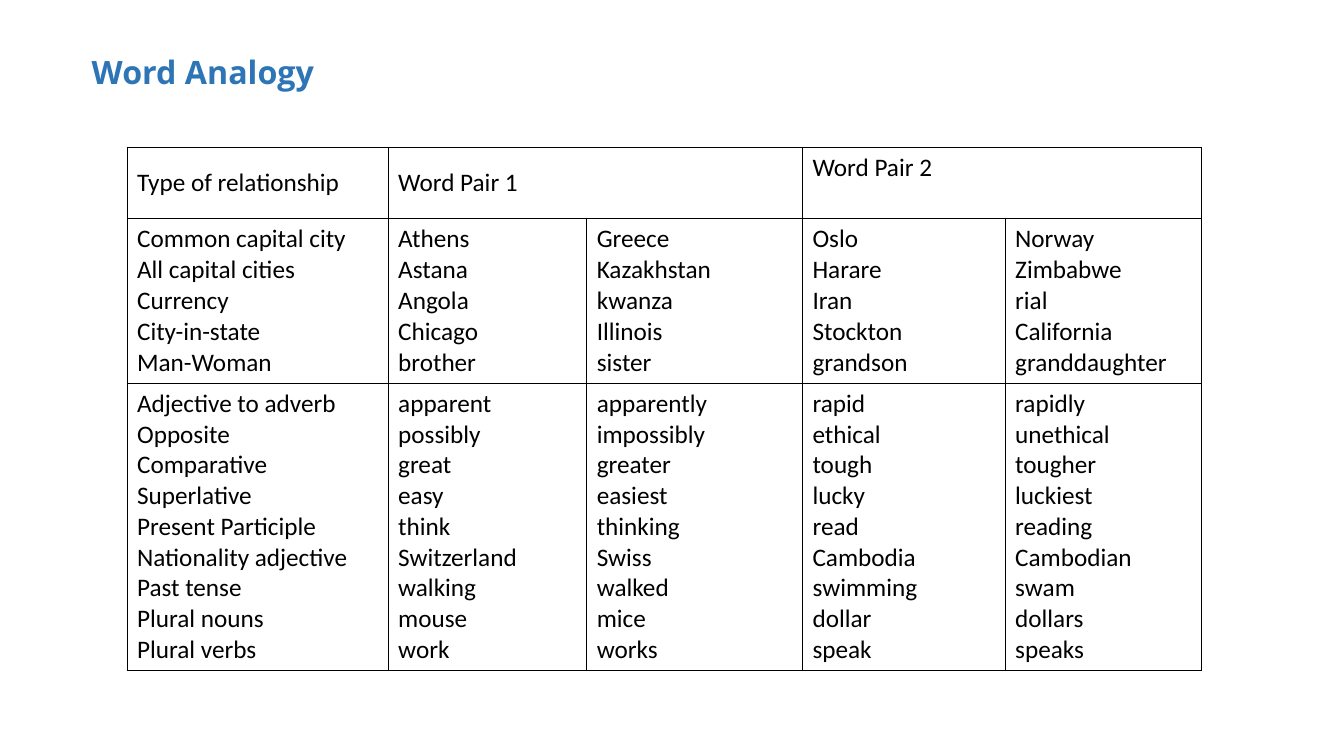
from lxml import etree
from pptx import Presentation
from pptx.dml.color import RGBColor
from pptx.enum.text import MSO_ANCHOR, PP_ALIGN
from pptx.oxml.ns import qn
from pptx.util import Inches, Pt

TOP, MIDDLE = MSO_ANCHOR.TOP, MSO_ANCHOR.MIDDLE
LEFT = PP_ALIGN.LEFT
TITLE_BLUE = RGBColor(0x2E, 0x75, 0xB6)
BLACK = RGBColor(0, 0, 0)
TITLE_FONT, BODY_FONT = "Open Sans", "Calibri"
TITLE_ONLY = 5
LINE_BREAK = "\v"

COLUMN_WIDTHS = [2.59, 1.97, 2.14, 2.01, 1.95]
ROW_HEIGHTS = [0.71, 1.63, 2.85]
HEADINGS = ["Type of relationship", "Word Pair 1", "", "Word Pair 2", ""]
SEMANTIC = [
    ("Common capital city", "Athens", "Greece", "Oslo", "Norway"),
    ("All capital cities", "Astana", "Kazakhstan", "Harare", "Zimbabwe"),
    ("Currency", "Angola", "kwanza", "Iran", "rial"),
    ("City-in-state", "Chicago", "Illinois", "Stockton", "California"),
    ("Man-Woman", "brother", "sister", "grandson", "granddaughter"),
]
SYNTACTIC = [
    ("Adjective to adverb", "apparent", "apparently", "rapid", "rapidly"),
    ("Opposite", "possibly", "impossibly", "ethical", "unethical"),
    ("Comparative", "great", "greater", "tough", "tougher"),
    ("Superlative", "easy", "easiest", "lucky", "luckiest"),
    ("Present Participle", "think", "thinking", "read", "reading"),
    ("Nationality adjective", "Switzerland", "Swiss", "Cambodia", "Cambodian"),
    ("Past tense", "walking", "walked", "swimming", "swam"),
    ("Plural nouns", "mouse", "mice", "dollar", "dollars"),
    ("Plural verbs", "work", "works", "speak", "speaks"),
]


def format_runs(paragraph, font_name, size, color, bold=False):
    for run in paragraph.runs:
        run.font.name = font_name
        run.font.size = Pt(size)
        run.font.color.rgb = color
        run.font.bold = bold


def add_borders(cell, color=BLACK, width=0.5):
    properties = cell._tc.get_or_add_tcPr()
    for side in ("a:lnL", "a:lnR", "a:lnT", "a:lnB"):
        line = etree.SubElement(properties, qn(side), w=str(Pt(width)))
        fill = etree.SubElement(line, qn("a:solidFill"))
        etree.SubElement(fill, qn("a:srgbClr"), val=str(color))


def place_title(slide, left, top, width, height):
    title = slide.shapes.title
    title.left, title.top = Inches(left), Inches(top)
    title.width, title.height = Inches(width), Inches(height)
    frame = title.text_frame
    frame.text = "Word Analogy"
    frame.vertical_anchor = MIDDLE
    paragraph = frame.paragraphs[0]
    paragraph.alignment = LEFT
    paragraph.line_spacing = 0.9
    format_runs(paragraph, TITLE_FONT, 23, TITLE_BLUE, bold=True)


def fill_cell(cell, words, anchor):
    cell.text_frame.text = words
    cell.vertical_anchor = anchor
    format_runs(cell.text_frame.paragraphs[0], BODY_FONT, 18, BLACK)
    add_borders(cell)
    cell.fill.background()


def add_analogy_table(slide, left, top):
    # Each group of analogies shares one row, one line per analogy
    rows = [HEADINGS] + [
        [LINE_BREAK.join(column) for column in zip(*group)]
        for group in (SEMANTIC, SYNTACTIC)
    ]
    analogies = slide.shapes.add_table(
        len(rows), len(COLUMN_WIDTHS), Inches(left), Inches(top),
        Inches(sum(COLUMN_WIDTHS)), Inches(sum(ROW_HEIGHTS))).table
    analogies.first_row = False
    analogies.horz_banding = False
    for column, width in zip(analogies.columns, COLUMN_WIDTHS):
        column.width = Inches(width)
    for row, height in zip(analogies.rows, ROW_HEIGHTS):
        row.height = Inches(height)

    # Cell contents
    for r, row_words in enumerate(rows):
        for c, words in enumerate(row_words):
            anchor = TOP if words == "Word Pair 2" else MIDDLE
            fill_cell(analogies.cell(r, c), words, anchor)

    # Each word pair heading spans two columns
    for c in (1, 3):
        analogies.cell(0, c).merge(analogies.cell(0, c + 1))


def main():
    presentation = Presentation()
    presentation.slide_width = Inches(13.33)
    presentation.slide_height = Inches(7.5)
    slide = presentation.slides.add_slide(presentation.slide_layouts[TITLE_ONLY])
    place_title(slide, 0.81, 0.47, 10.9, 0.52)
    add_analogy_table(slide, 1.26, 1.46)
    presentation.save("out.pptx")


if __name__ == "__main__":
    main()
